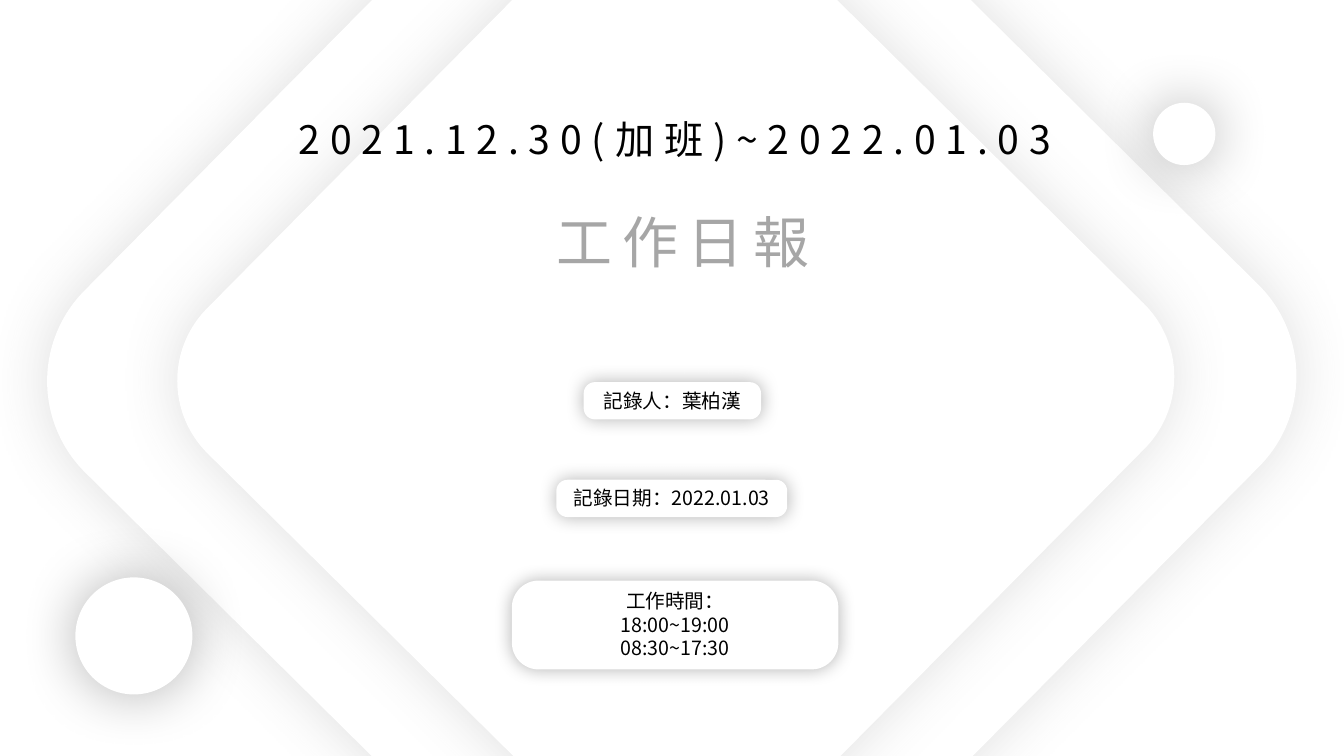
from lxml.etree import SubElement as Sub
from pptx import Presentation
from pptx.dml.color import RGBColor
from pptx.enum.shapes import MSO_SHAPE as Kind
from pptx.enum.text import MSO_AUTO_SIZE as Fit, PP_ALIGN as Align
from pptx.oxml.ns import qn
from pptx.util import Cm, Pt

WHITE = RGBColor(0xFF, 0xFF, 0xFF)
BLACK = RGBColor(0, 0, 0)
GREY = RGBColor(0xA6, 0xA6, 0xA6)
SHADE = RGBColor(0x59, 0x59, 0x59)
FACE = "Noto Sans CJK SC"


def add_glow(shape, color, alpha, blur):
    """Give a shape a soft shadow on all sides."""
    shape.shadow.inherit = False
    effects = shape._element.spPr.find(qn("a:effectLst"))
    outer = Sub(effects, qn("a:outerShdw"), blurRad=str(Pt(blur)), dist="0",
                dir="0", algn="ctr", rotWithShape="0")
    tint = Sub(outer, qn("a:srgbClr"), val=str(color))
    Sub(tint, qn("a:alpha"), val=str(alpha * 1000))


def add_form(shapes, kind, box, color=BLACK, alpha=30, blur=43, round_by=None):
    """Add a white shape without outline that floats on its shadow."""
    shape = shapes.add_shape(kind, *map(Cm, box))
    shape.fill.solid()
    shape.fill.fore_color.rgb = WHITE
    shape.line.fill.background()
    if round_by is not None:
        shape.adjustments[0] = round_by
    add_glow(shape, color, alpha, blur)
    return shape


def add_label(shapes, box, lines, size=14, color=BLACK, space=0):
    """Add centred text with one paragraph per line."""
    frame = shapes.add_textbox(*map(Cm, box)).text_frame
    frame.word_wrap = True
    frame.auto_size = Fit.SHAPE_TO_FIT_TEXT
    frame.text = "\n".join(lines)
    for para in frame.paragraphs:
        para.alignment = Align.CENTER
        font = para.font
        font.size = Pt(size)
        font.name = FACE
        font.color.rgb = color
        props = para._p.pPr.find(qn("a:defRPr"))
        Sub(props, qn("a:ea"), typeface=FACE)
        if space:
            props.set("spc", str(space * 100))


def add_diamond(shapes, mid, side):
    """Add a large rounded square turned onto its corner."""
    box = (mid - side / 2, 9.54 - side / 2, side, side)
    form = add_form(shapes, Kind.ROUNDED_RECTANGLE, box, SHADE, 19, round_by=0.134)
    form.rotation = 44.7


def add_pill(shapes, box, width, lines):
    """Group a rounded plate with the text centred on it."""
    parts = shapes.add_group_shape().shapes
    add_form(parts, Kind.ROUNDED_RECTANGLE, box, blur=13, round_by=0.302)
    left, top, wide, high = box
    tall = 0.6 * len(lines) + 0.26
    place = (left + (wide - width) / 2, top + (high - tall) / 2, width, tall)
    add_label(parts, place, lines)


def main():
    """Build the cover slide of the work report."""
    deck = Presentation()
    deck.slide_width, deck.slide_height = Cm(33.87), Cm(19.05)
    slide = deck.slides.add_slide(deck.slide_layouts[6])
    shapes = slide.shapes
    add_diamond(shapes, 16.93, 24.16)
    add_diamond(shapes, 17.03, 19.28)
    add_label(shapes, (6.76, 2.77, 20.5, 1.45),
              ["2021.12.30(加班)~2022.01.03"], 28, space=7)
    add_label(shapes, (11.18, 5.11, 12.07, 1.96), ["工作日報"], 40, GREY, 7)
    for left, top, size in ((1.9, 14.55, 2.95), (29.06, 2.59, 1.57)):
        add_form(shapes, Kind.OVAL, (left, top, size, size))
    add_pill(shapes, (14.71, 9.63, 4.47, 0.94), 5.31, ["記錄人：葉柏漢"])
    add_pill(shapes, (14.02, 12.09, 5.82, 0.94), 6.12, ["記錄日期：2022.01.03"])
    add_pill(shapes, (12.9, 14.63, 8.23, 2.24), 8.66,
             ["工作時間：", "18:00~19:00", "08:30~17:30"])
    deck.save("out.pptx")


if __name__ == "__main__":
    main()
